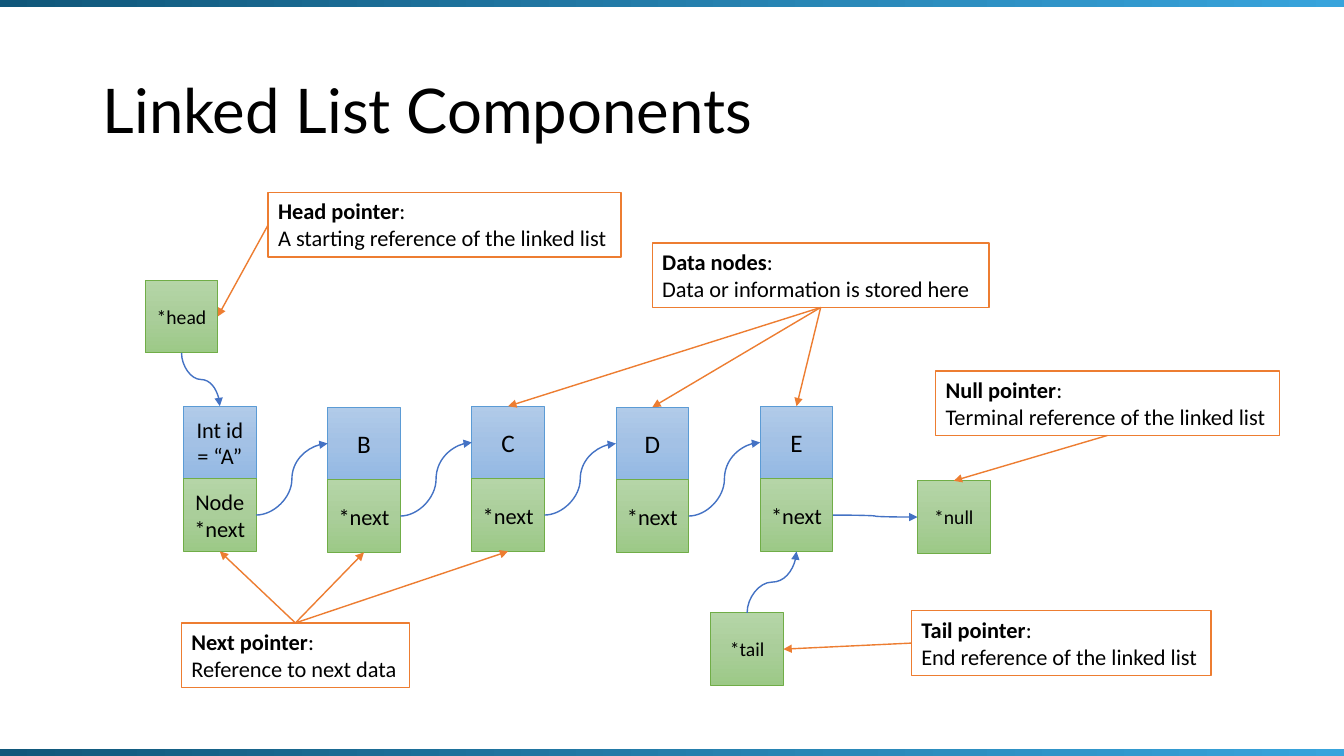
from lxml import etree
from pptx import Presentation
from pptx.dml.color import RGBColor
from pptx.enum.shapes import MSO_CONNECTOR, MSO_SHAPE
from pptx.enum.text import MSO_ANCHOR, MSO_AUTO_SIZE, PP_ALIGN
from pptx.oxml.ns import qn
from pptx.util import Inches, Pt

RECTANGLE = MSO_SHAPE.RECTANGLE
STRAIGHT, CURVE = MSO_CONNECTOR.STRAIGHT, MSO_CONNECTOR.CURVE
LEFT, CENTER = PP_ALIGN.LEFT, PP_ALIGN.CENTER
TOP_ANCHOR, MIDDLE_ANCHOR = MSO_ANCHOR.TOP, MSO_ANCHOR.MIDDLE
FIT_SHAPE = MSO_AUTO_SIZE.SHAPE_TO_FIT_TEXT
TOP_SIDE, LEFT_SIDE, BOTTOM_SIDE, RIGHT_SIDE = range(4)

BLACK = RGBColor(0x00, 0x00, 0x00)
WHITE = RGBColor(0xFF, 0xFF, 0xFF)
ORANGE = RGBColor(0xED, 0x7D, 0x31)
LINK_BLUE = RGBColor(0x44, 0x72, 0xC4)
DATA_EDGE = RGBColor(0x5B, 0x9B, 0xD5)
POINTER_EDGE = RGBColor(0x70, 0xAD, 0x47)
DATA_FILL = [RGBColor(0xB1, 0xCB, 0xE9), RGBColor(0xA3, 0xC1, 0xE5), RGBColor(0x93, 0xB9, 0xE4)]
POINTER_FILL = [RGBColor(0xB5, 0xD5, 0xA7), RGBColor(0xAA, 0xCE, 0x9A), RGBColor(0x9C, 0xC9, 0x87)]
BAND_FILL = [RGBColor(0x10, 0x57, 0x7A), RGBColor(0x38, 0xA4, 0xDC)]
ACROSS, DOWN = 0, 270

TITLE = "Linked List Components"
# data text, data size, pointer lines
NODES = [
    ("Int id = “A”", 16, ["Node", "*next"]),
    ("B", 18, ["*next"]),
    ("C", 18, ["*next"]),
    ("D", 18, ["*next"]),
    ("E", 18, ["*next"]),
]
# name: left, top
END_POINTERS = {"head": (1.44, 2.78), "null": (9.1, 4.77), "tail": (7.05, 6.08)}
# term: explanation, left, top, width
CALLOUTS = {
    "Head pointer": ("A starting reference of the linked list", 2.66, 1.91, 3.5),
    "Data nodes": ("Data or information is stored here", 6.47, 2.41, 3.34),
    "Next pointer": ("Reference to next data", 1.8, 6.18, 2.26),
    "Null pointer": ("Terminal reference of the linked list", 9.28, 3.68, 3.41),
    "Tail pointer": ("End reference of the linked list", 9.04, 6.06, 2.97),
}
CELL = 0.72
CALLOUT_HEIGHT = 0.64
NODE_LEFT, NODE_TOP, NODE_STEP, NODE_STAGGER = 1.82, 4.03, 1.43, 0.01

deck = Presentation()
deck.slide_width, deck.slide_height = Inches(13.33), Inches(7.5)
page = deck.slides.add_slide(deck.slide_layouts[6])


def write(box, paragraphs, size, font="Calibri", align=CENTER, anchor=MIDDLE_ANCHOR,
          wrap=True, spacing=None):
    """Fill a box with paragraphs, each a list of (text, bold); None breaks the line."""
    frame = box.text_frame
    frame.word_wrap = wrap
    frame.vertical_anchor = anchor
    for number, spans in enumerate(paragraphs):
        para = frame.add_paragraph() if number else frame.paragraphs[0]
        para.alignment = align
        if spacing:
            para.line_spacing = spacing
        for part in spans:
            if part is None:
                para.add_line_break()
                continue
            span = para.add_run()
            span.text, span.font.bold = part
            span.font.name, span.font.size = font, Pt(size)
            span.font.color.rgb = BLACK


def add_box(left, top, width, height):
    box = page.shapes.add_shape(RECTANGLE, Inches(left), Inches(top), Inches(width), Inches(height))
    box.shadow.inherit = False
    return box


def fill_gradient(box, colors, angle):
    """Spread the colours evenly; the angle runs counter-clockwise."""
    box.fill.gradient()
    box.fill.gradient_angle = angle
    stops = box._element.spPr.find(qn("a:gradFill")).find(qn("a:gsLst"))
    for stop in list(stops):
        stops.remove(stop)
    for number, color in enumerate(colors):
        position = 100000 * number // (len(colors) - 1)
        stop = etree.SubElement(stops, qn("a:gs"), pos=str(position))
        etree.SubElement(stop, qn("a:srgbClr"), val=str(color))


def add_cell(left, top, lines, size, colors=POINTER_FILL, edge=POINTER_EDGE):
    cell = add_box(left, top, CELL, CELL)
    fill_gradient(cell, colors, DOWN)
    cell.line.color.rgb, cell.line.width = edge, Pt(0.5)
    spans = [(lines[0], False)]
    for line in lines[1:]:
        spans += [None, (line, False)]
    write(cell, [spans], size)
    return cell


def add_callout(term, explanation, left, top, width):
    callout = add_box(left, top, width, CALLOUT_HEIGHT)
    callout.fill.solid()
    callout.fill.fore_color.rgb = WHITE
    callout.line.color.rgb, callout.line.width = ORANGE, Pt(1)
    write(callout, [[(term, True), (":", False)], [(explanation, False)]], 16,
          align=LEFT, anchor=TOP_ANCHOR, wrap=False)
    callout.text_frame.auto_size = FIT_SHAPE
    return callout


def turn_upright(curve):
    """Make a rightward curve leave and arrive vertically."""
    goes_down = curve.end_y > curve.begin_y
    left, top, width, height = curve.left, curve.top, curve.width, curve.height
    curve.left, curve.top = left + (width - height) // 2, top + (height - width) // 2
    curve.width, curve.height = height, width
    frame = curve._element.spPr.find(qn("a:xfrm"))
    frame.set("rot", str(270 * 60000))
    frame.set("flipH", str(int(goes_down)))
    frame.set("flipV", "0")


def add_arrow(start, start_side, end, end_side, kind=STRAIGHT, color=ORANGE):
    arrow = page.shapes.add_connector(kind, 0, 0, 0, 0)
    arrow.begin_connect(start, start_side)
    arrow.end_connect(end, end_side)
    arrow.line.color.rgb, arrow.line.width = color, Pt(1)
    properties = arrow._element.spPr
    etree.SubElement(properties.find(qn("a:ln")), qn("a:tailEnd"), type="triangle")
    etree.SubElement(properties, qn("a:effectLst"))
    if kind == CURVE and start_side in (TOP_SIDE, BOTTOM_SIDE):
        turn_upright(arrow)


title = page.shapes.add_textbox(Inches(0.92), Inches(0.4), Inches(11.5), Inches(1.45))
write(title, [[(TITLE, False)]], 44, font="Lato", align=LEFT, spacing=0.9)

for band_top in (-0.01, 7.43):
    band = add_box(0, band_top, 13.33, 0.08)
    fill_gradient(band, BAND_FILL, ACROSS)
    band.line.fill.background()

data_cells, next_cells = [], []
for index, (data, data_size, pointer_lines) in enumerate(NODES):
    left = NODE_LEFT + index * NODE_STEP
    top = NODE_TOP + index % 2 * NODE_STAGGER
    data_cells.append(add_cell(left, top, [data], data_size, DATA_FILL, DATA_EDGE))
    next_cells.append(add_cell(left, top + CELL, pointer_lines, 16))

ends = {name: add_cell(*place, ["*" + name], 14) for name, place in END_POINTERS.items()}
callouts = {term: add_callout(term, *details) for term, details in CALLOUTS.items()}

links = [(ends["head"], BOTTOM_SIDE, data_cells[0], TOP_SIDE),
         (ends["tail"], TOP_SIDE, next_cells[-1], BOTTOM_SIDE)]
links += [(pointer, RIGHT_SIDE, target, LEFT_SIDE)
          for pointer, target in zip(next_cells, data_cells[1:] + [ends["null"]])]
for link in links:
    add_arrow(*link, kind=CURVE, color=LINK_BLUE)

add_arrow(callouts["Head pointer"], LEFT_SIDE, ends["head"], RIGHT_SIDE)
add_arrow(callouts["Null pointer"], BOTTOM_SIDE, ends["null"], TOP_SIDE)
add_arrow(callouts["Tail pointer"], LEFT_SIDE, ends["tail"], RIGHT_SIDE)
for cell in next_cells[:3]:
    add_arrow(callouts["Next pointer"], TOP_SIDE, cell, BOTTOM_SIDE)
for cell in data_cells[2:]:
    add_arrow(callouts["Data nodes"], BOTTOM_SIDE, cell, TOP_SIDE)

deck.save("out.pptx")
